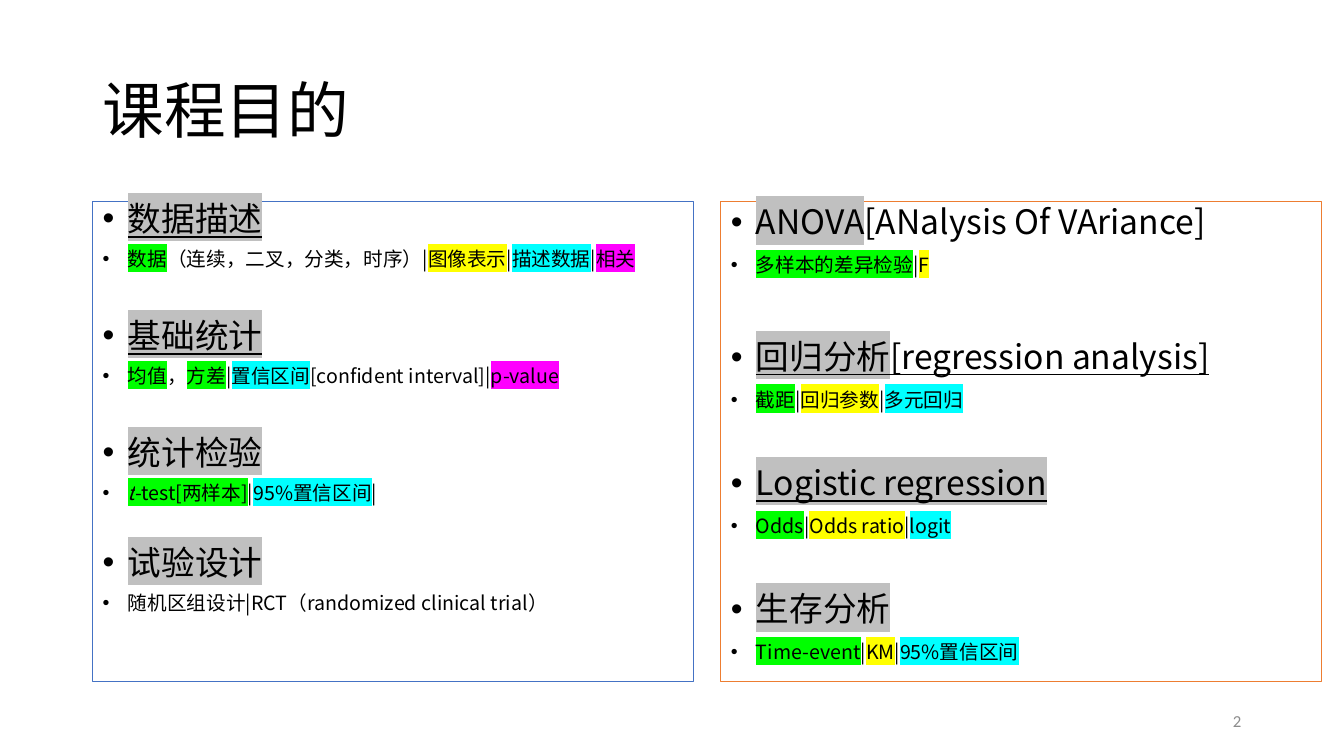
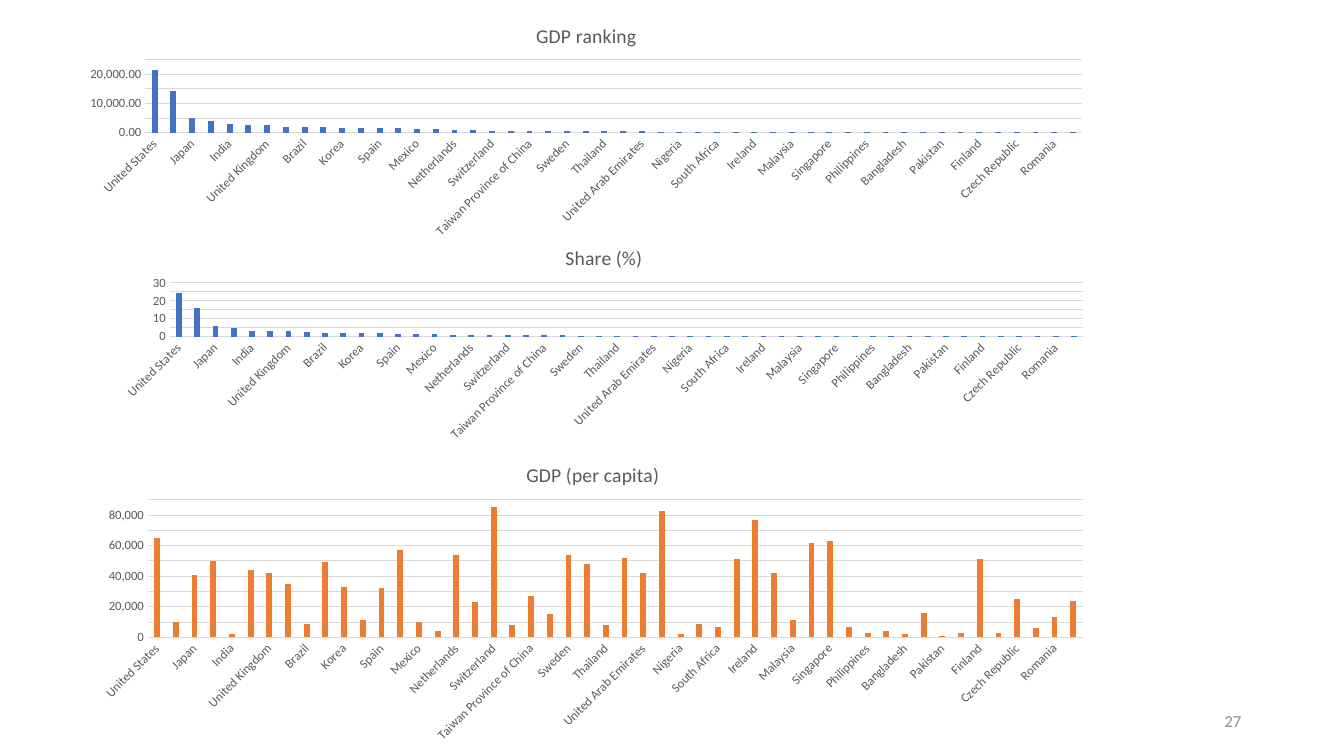
from dataclasses import dataclass

from lxml.etree import SubElement
from pptx import Presentation
from pptx.chart.data import CategoryChartData
from pptx.dml.color import RGBColor
from pptx.enum.chart import XL_CHART_TYPE as ChartType, XL_TICK_MARK as TickMark
from pptx.enum.shapes import MSO_SHAPE as Shape
from pptx.enum.text import MSO_ANCHOR as Anchor, PP_ALIGN as Align
from pptx.oxml.ns import qn
from pptx.util import Pt

EMU_PER_PX = 9144


@dataclass(frozen=True)
class Theme:
    ink: str = "000000"
    muted: str = "595959"
    number: str = "8C8C8C"
    rule: str = "D9D9D9"
    blue: str = "4472C4"
    orange: str = "ED7D31"
    gray: str = "C0C0C0"
    green: str = "00FF00"
    yellow: str = "FFFF00"
    cyan: str = "00FFFF"
    magenta: str = "FF00FF"
    cjk: str = "Noto Sans CJK SC"
    latin: str = "Calibri"
    title_size: int = 44
    heading_size: int = 24
    detail_size: int = 14
    number_size: int = 12
    chart_size: int = 10
    chart_title_size: int = 14
    axis_size: int = 9
    hairline: float = 0.75


THEME = Theme()


@dataclass(frozen=True)
class Span:
    text: str
    mark: str = None
    underline: bool = False
    italic: bool = False


@dataclass(frozen=True)
class Topic:
    gap: int
    heading: tuple
    detail: tuple


BAR = Span("|")

DESCRIPTIVE_TOPICS = (
    Topic(0, (Span("数据描述", THEME.gray, underline=True),),
          (Span("数据", THEME.green), Span("（连续，二叉，分类，时序）|"),
           Span("图像表示", THEME.yellow), BAR, Span("描述数据", THEME.cyan),
           BAR, Span("相关", THEME.magenta))),
    Topic(38, (Span("基础统计", THEME.gray, underline=True),),
          (Span("均值", THEME.green), Span("，"), Span("方差", THEME.green), BAR,
           Span("置信区间", THEME.cyan), Span("[confident interval]|"),
           Span("p-value", THEME.magenta))),
    Topic(38, (Span("统计检验", THEME.gray),),
          (Span("t", THEME.green, italic=True), Span("-test[两样本]", THEME.green),
           BAR, Span("95%置信区间", THEME.cyan), BAR)),
    Topic(33, (Span("试验设计", THEME.gray),),
          (Span("随机区组设计|RCT（randomized clinical trial）"),)),
)

MODEL_TOPICS = (
    Topic(0, (Span("ANOVA", THEME.gray), Span("[ANalysis Of VAriance]")),
          (Span("多样本的差异检验", THEME.green), BAR, Span("F", THEME.yellow))),
    Topic(46, (Span("回归分析", THEME.gray, underline=True),
               Span("[regression analysis]", underline=True)),
          (Span("截距", THEME.green), BAR, Span("回归参数", THEME.yellow), BAR,
           Span("多元回归", THEME.cyan))),
    Topic(40, (Span("Logistic regression", THEME.gray, underline=True),),
          (Span("Odds", THEME.green), BAR, Span("Odds ratio", THEME.yellow), BAR,
           Span("logit", THEME.cyan))),
    Topic(40, (Span("生存分析", THEME.gray),),
          (Span("Time-event", THEME.green), BAR, Span("KM", THEME.yellow), BAR,
           Span("95%置信区间", THEME.cyan))),
)

COUNTRIES = (
    "United States", "China", "Japan", "Germany", "India", "France",
    "United Kingdom", "Italy", "Brazil", "Canada", "Korea", "Russia", "Spain",
    "Australia", "Mexico", "Indonesia", "Netherlands", "Saudi Arabia",
    "Switzerland", "Turkey", "Taiwan Province of China", "Poland", "Sweden",
    "Belgium", "Thailand", "Austria", "United Arab Emirates", "Norway",
    "Nigeria", "Argentina", "South Africa", "Hong Kong SAR", "Ireland",
    "Israel", "Malaysia", "Denmark", "Singapore", "Colombia", "Philippines",
    "Islamic Republic of Iran", "Bangladesh", "Chile", "Pakistan", "Egypt",
    "Finland", "Vietnam", "Czech Republic", "Iraq", "Romania", "Portugal",
)

GDP = (
    21500, 14200, 5200, 4100, 3000, 2800, 2800, 2100, 1900, 1800, 1700, 1600,
    1500, 1500, 1200, 1100, 900, 800, 700, *[600] * 4, *[500] * 4,
    *[400] * 12, *[300] * 9, 200, 200,
)

SHARE = (
    24.4, 16.1, 5.9, 4.7, 3.4, 3.2, 3.2, 2.4, 2.2, 2.1, 1.9, 1.9, 1.7, 1.7,
    1.4, 1.2, 1.1, 0.9, 0.8, *[0.7] * 3, *[0.6] * 3, *[0.5] * 5,
    *[0.4] * 11, *[0.3] * 9,
)

PER_CAPITA_THOUSANDS = (
    65, 10, 41, 50, 2, 44, 42, 35, 9, 49, 33, 11, 32, 57, 10, 4, 54, 23, 85,
    8, 27, 15, 54, 48, 8, 52, 42, 83, 2, 9, 7, 51, 77, 42, 11, 62, 63, 7, 3,
    4, 2, 16, 1, 3, 51, 3, 25, 6, 13, 24,
)
PER_CAPITA = tuple(value * 1000 for value in PER_CAPITA_THOUSANDS)


def px(*lengths):
    return [length * EMU_PER_PX for length in lengths]


def color(value):
    return RGBColor.from_string(value)


def style_font(font, size, ink, name):
    font.size = Pt(size)
    font.color.rgb = color(ink)
    font.name = name


def add_span(para, text, *, size, ink=THEME.ink, font=THEME.cjk, mark=None,
             underline=False, italic=False):
    span = para.add_run()
    span.text = text
    span.font.color.rgb = color(ink)
    props = span.font._element
    if mark:
        highlight = SubElement(props, qn("a:highlight"))
        SubElement(highlight, qn("a:srgbClr"), val=mark)
    style_font(span.font, size, ink, font)
    SubElement(props, qn("a:ea"), typeface=font)
    span.font.underline = underline
    span.font.italic = italic


def add_label(page, text, place, *, align=Align.LEFT, spacing=1.0, **format):
    box = page.shapes.add_textbox(*px(*place))
    frame = box.text_frame
    frame.word_wrap = True
    frame.vertical_anchor = Anchor.MIDDLE
    para = frame.paragraphs[0]
    para.alignment = align
    para.line_spacing = spacing
    add_span(para, text, **format)


def add_page_number(page, number):
    add_label(page, str(number), (941, 695, 300, 40), align=Align.RIGHT,
              size=THEME.number_size, ink=THEME.number, font=THEME.latin)


def add_bullet(para, spans, *, size, gap, spacing):
    props = para._p.get_or_add_pPr()
    indent = px(25)[0]
    props.set("marL", str(indent))
    props.set("indent", str(-indent))
    SubElement(props, qn("a:buFont"), typeface="Arial")
    SubElement(props, qn("a:buChar"), char="•")
    para.alignment = Align.LEFT
    para.line_spacing = spacing
    para.space_before = Pt(gap)
    for span in spans:
        add_span(para, span.text, size=size, mark=span.mark,
                 underline=span.underline, italic=span.italic)


def add_topic_panel(page, topics, left, border, spacing):
    panel = page.shapes.add_shape(Shape.RECTANGLE, *px(left, 200, 596, 476))
    panel.shadow.inherit = False
    panel.fill.background()
    panel.line.color.rgb = color(border)
    panel.line.width = Pt(THEME.hairline)
    frame = panel.text_frame
    frame.word_wrap = True
    frame.vertical_anchor = Anchor.TOP
    for index, topic in enumerate(topics):
        heading = frame.add_paragraph() if index else frame.paragraphs[0]
        add_bullet(heading, topic.heading, size=THEME.heading_size,
                   gap=topic.gap, spacing=spacing)
        add_bullet(frame.add_paragraph(), topic.detail, size=THEME.detail_size,
                   gap=10, spacing=spacing)


def style_axis(axis):
    axis.major_tick_mark = TickMark.NONE
    axis.minor_tick_mark = TickMark.NONE
    style_font(axis.tick_labels.font, THEME.axis_size, THEME.muted, THEME.latin)


def style_rule(line):
    line.color.rgb = color(THEME.rule)
    line.width = Pt(THEME.hairline)


def add_country_chart(page, title, values, place, *, fill, top, step,
                      number_format="General"):
    data = CategoryChartData()
    data.categories = COUNTRIES
    data.add_series(title, values)
    chart = page.shapes.add_chart(ChartType.COLUMN_CLUSTERED, *px(*place), data).chart
    style_font(chart.font, THEME.chart_size, THEME.ink, THEME.latin)
    chart.has_legend = False
    chart.has_title = True
    chart.chart_title.include_in_layout = False
    heading = chart.chart_title.text_frame
    heading.text = title
    span = heading.paragraphs[0].runs[0]
    style_font(span.font, THEME.chart_title_size, THEME.muted, THEME.latin)
    span.font.bold = False

    plot = chart.plots[0]
    plot.vary_by_categories = False
    plot.gap_width = 219
    plot.overlap = -27
    bars = plot.series[0].format.fill
    bars.solid()
    bars.fore_color.rgb = color(fill)

    countries = chart.category_axis
    style_axis(countries)
    style_rule(countries.format.line)
    countries._element.find(qn("c:txPr")).find(qn("a:bodyPr")).set("rot", "-2700000")

    amounts = chart.value_axis
    style_axis(amounts)
    amounts.format.line.fill.background()
    amounts.minimum_scale = 0
    amounts.maximum_scale = top
    amounts.major_unit = step
    style_rule(amounts.major_gridlines.format.line)
    amounts.tick_labels.number_format = number_format
    amounts.tick_labels.number_format_is_linked = False


def add_page(deck, number):
    page = deck.slides.add_slide(deck.slide_layouts[6])
    add_page_number(page, number)
    return page


def build_goals(deck):
    page = add_page(deck, 2)
    add_label(page, "课程目的", (92, 40, 1150, 145), spacing=0.9,
              size=THEME.title_size)
    add_topic_panel(page, DESCRIPTIVE_TOPICS, 92, THEME.blue, 0.78)
    add_topic_panel(page, MODEL_TOPICS, 715, THEME.orange, 0.88)


def build_gdp(deck):
    page = add_page(deck, 27)
    add_country_chart(page, "GDP ranking", GDP, (69, 9, 1025, 232),
                      fill=THEME.blue, top=25000, step=5000,
                      number_format="#,##0.00")
    add_country_chart(page, "Share (%)", SHARE, (104, 229, 990, 214),
                      fill=THEME.blue, top=30, step=5)
    add_country_chart(page, "GDP (per capita)", PER_CAPITA, (82, 443, 1012, 300),
                      fill=THEME.orange, top=90000, step=10000,
                      number_format="#,##0")


def main():
    deck = Presentation()
    deck.slide_width, deck.slide_height = px(1333, 750)
    build_goals(deck)
    build_gdp(deck)
    deck.save("out.pptx")


if __name__ == "__main__":
    main()
